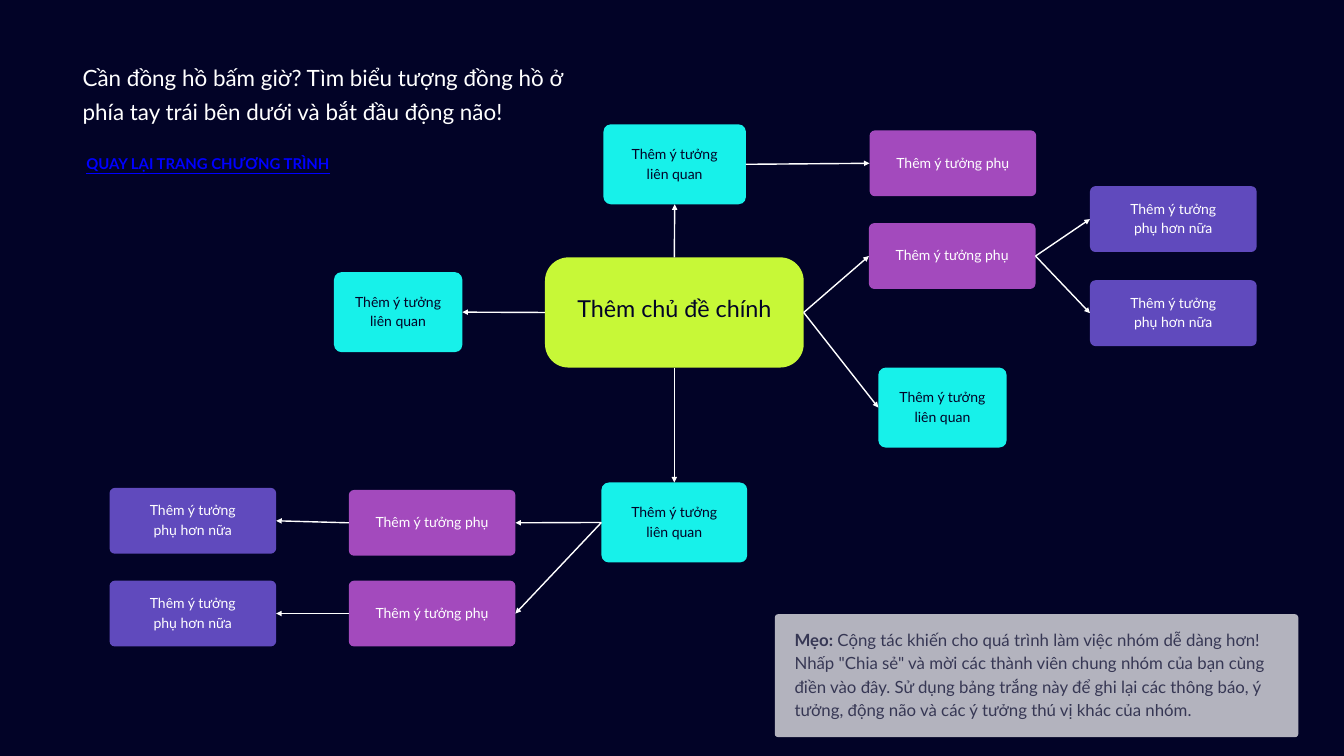
from lxml.etree import SubElement
from pptx import Presentation
from pptx.dml.color import RGBColor
from pptx.enum.shapes import MSO_CONNECTOR, MSO_SHAPE
from pptx.enum.text import MSO_ANCHOR, PP_ALIGN
from pptx.oxml.ns import qn
from pptx.util import Inches, Pt

FONT, NAVY, WHITE, BLUE = "Lato", "020327", "FFFFFF", "0000FF"
TOP, LEFT, BOTTOM, RIGHT = range(4)

HEAD = "Cần đồng hồ bấm giờ? Tìm biểu tượng đồng hồ ở phía tay trái bên dưới và bắt đầu động não!"
BACK = "QUAY LẠI TRANG CHƯƠNG TRÌNH"
TIP = [
    ("Mẹo:", True),
    (' Cộng tác khiến cho quá trình làm việc nhóm dễ dàng hơn! Nhấp "Chia sẻ" và mời '
     "các thành viên chung nhóm của bạn cùng điền vào đây. Sử dụng bảng trắng này để "
     "ghi lại các thông báo, ý tưởng, động não và các ý tưởng thú vị khác của nhóm.", False),
]

# kind: lines, fill, text colour, size, line spacing, height, corner radius, text lift
KINDS = {
    "main": (["Thêm chủ đề chính"], "C7F837", NAVY, 25, 35, 1.64, 0.35, 0.19),
    "idea": (["Thêm ý tưởng", "liên quan"], "17F1EA", NAVY, 15, 21, 1.19, 0.11, 0.06),
    "sub": (["Thêm ý tưởng phụ"], "A34ABD", WHITE, 15, 21, 0.98, 0.08, 0.06),
    "more": (["Thêm ý tưởng", "phụ hơn nữa"], "604ABD", WHITE, 15, 21, 0.98, 0.08, 0.06),
}

# name: kind, left, top, width
NODES = {
    "main": ("main", 8.11, 3.83, 3.85),
    "west": ("idea", 4.97, 4.05, 1.91),
    "north": ("idea", 8.98, 1.85, 2.12),
    "south": ("idea", 8.95, 7.18, 2.17),
    "east": ("idea", 13.07, 5.47, 1.91),
    "north sub": ("sub", 12.94, 1.94, 2.48),
    "east sub": ("sub", 12.93, 3.32, 2.48),
    "east more 1": ("more", 16.22, 2.77, 2.48),
    "east more 2": ("more", 16.22, 4.17, 2.48),
    "south sub 1": ("sub", 5.19, 7.29, 2.48),
    "south sub 2": ("sub", 5.19, 8.64, 2.48),
    "south more 1": ("more", 1.63, 7.26, 2.48),
    "south more 2": ("more", 1.63, 8.64, 2.48),
}

# from, to, side left by the arrow
LINKS = [
    ("main", "east", RIGHT),
    ("main", "west", LEFT),
    ("main", "north", TOP),
    ("main", "south", BOTTOM),
    ("main", "east sub", RIGHT),
    ("north", "north sub", RIGHT),
    ("east sub", "east more 1", RIGHT),
    ("east sub", "east more 2", RIGHT),
    ("south", "south sub 1", LEFT),
    ("south", "south sub 2", LEFT),
    ("south sub 1", "south more 1", LEFT),
    ("south sub 2", "south more 2", LEFT),
]


def paint(item, color, alpha=None):
    """Give a fill a solid colour, with opacity in percent if set."""
    item.solid()
    item.fore_color.rgb = RGBColor.from_string(color)
    if alpha:
        tint = item._xPr.find(qn("a:solidFill"))[0]
        SubElement(tint, qn("a:alpha"), val=str(alpha * 1000))


def style(para, color, size, space, align=PP_ALIGN.LEFT):
    para.alignment = align
    para.line_spacing = Pt(space)
    para.font.name = FONT
    para.font.size = Pt(size)
    para.font.color.rgb = RGBColor.from_string(color)


def inset(frame, side, lift=0):
    """Set equal margins; a larger bottom one lifts centred text."""
    frame.word_wrap = True
    frame.margin_left = frame.margin_right = frame.margin_top = Inches(side)
    frame.margin_bottom = Inches(side + lift)


def add_card(slide, box, radius, color, alpha=None):
    card = slide.shapes.add_shape(MSO_SHAPE.ROUNDED_RECTANGLE, *map(Inches, box))
    card.adjustments[0] = radius / box[3]
    card.shadow.inherit = False
    card.line.fill.background()
    paint(card.fill, color, alpha)
    card.text_frame.vertical_anchor = MSO_ANCHOR.MIDDLE
    return card


def add_node(slide, kind, left, top, width):
    lines, fill, color, size, space, height, radius, lift = KINDS[kind]
    node = add_card(slide, (left, top, width, height), radius, fill)
    frame = node.text_frame
    inset(frame, 0.06, lift)
    frame.text = "\n".join(lines)
    for para in frame.paragraphs:
        style(para, color, size, space, PP_ALIGN.CENTER)
    return node


def add_arrow(slide, start, end, side):
    arrow = slide.shapes.add_connector(MSO_CONNECTOR.STRAIGHT, 0, 0, 0, 0)
    arrow.begin_connect(start, side)
    arrow.end_connect(end, (side + 2) % 4)
    paint(arrow.line.fill, WHITE)
    arrow.line.width = Pt(1.5)
    SubElement(arrow.line._get_or_add_ln(), qn("a:tailEnd"), type="triangle")
    SubElement(arrow._element.spPr, qn("a:effectLst"))


def add_text(slide, box, text, *look):
    frame = slide.shapes.add_textbox(*map(Inches, box)).text_frame
    inset(frame, 0)
    frame.text = text
    para = frame.paragraphs[0]
    style(para, *look)
    return para


def add_tip(slide):
    frame = add_card(slide, (11.53, 9.14, 7.79, 1.83), 0.05, WHITE, 70).text_frame
    inset(frame, 0.28, 0.04)
    frame.margin_top = Inches(0.24)
    para = frame.paragraphs[0]
    style(para, NAVY, 18, 25.2)
    for text, bold in TIP:
        run = para.add_run()
        run.text = text
        run.font.bold = bold
        paint(run.font.fill, NAVY, 70)


def main():
    deck = Presentation()
    deck.slide_width, deck.slide_height = Inches(20), Inches(11.25)
    slide = deck.slides.add_slide(deck.slide_layouts[6])
    paint(slide.background.fill, NAVY)

    nodes = {name: add_node(slide, *spot) for name, spot in NODES.items()}
    for start, end, side in LINKS:
        add_arrow(slide, nodes[start], nodes[end], side)

    add_text(slide, (1.23, 0.86, 7.31, 0.98), HEAD, WHITE, 24, 36)
    back = add_text(slide, (1.23, 2.28, 3.73, 0.27), BACK, BLUE, 16, 20.8, PP_ALIGN.CENTER)
    back.font.bold = back.font.underline = True
    add_tip(slide)
    deck.save("out.pptx")


if __name__ == "__main__":
    main()
